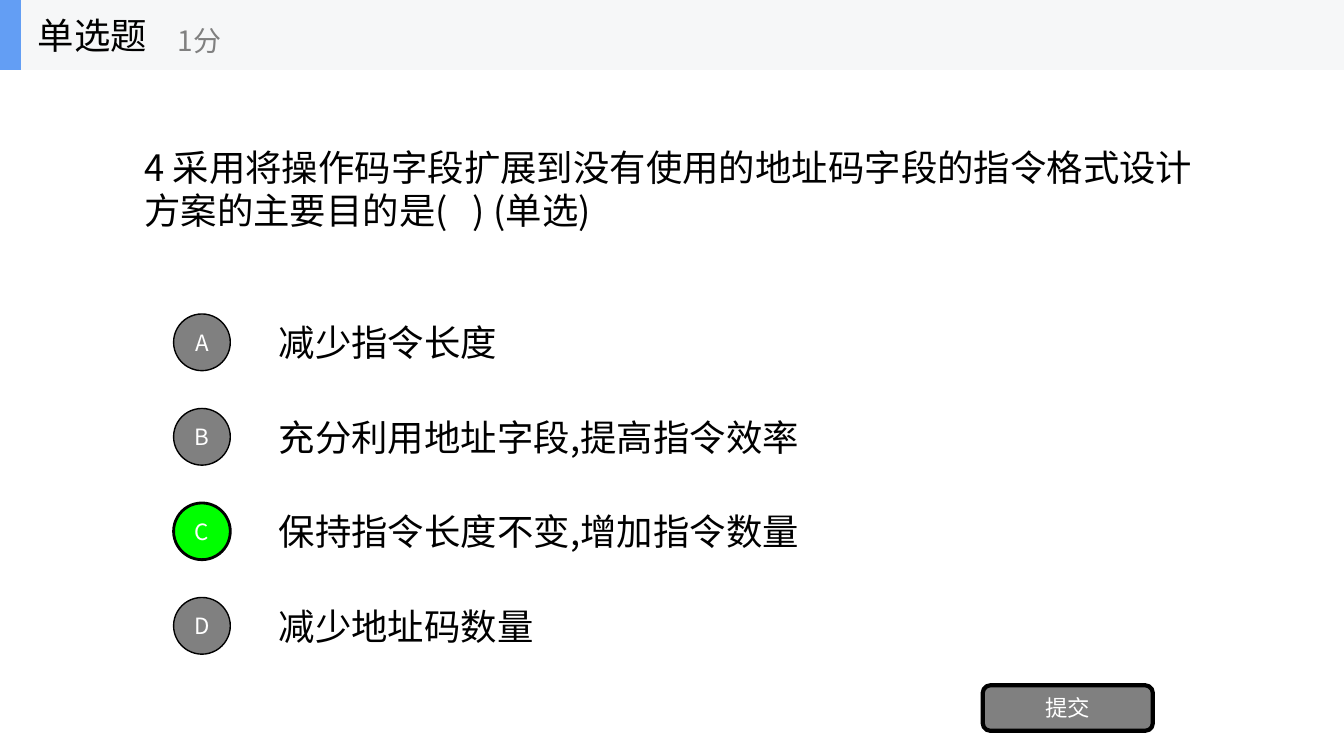
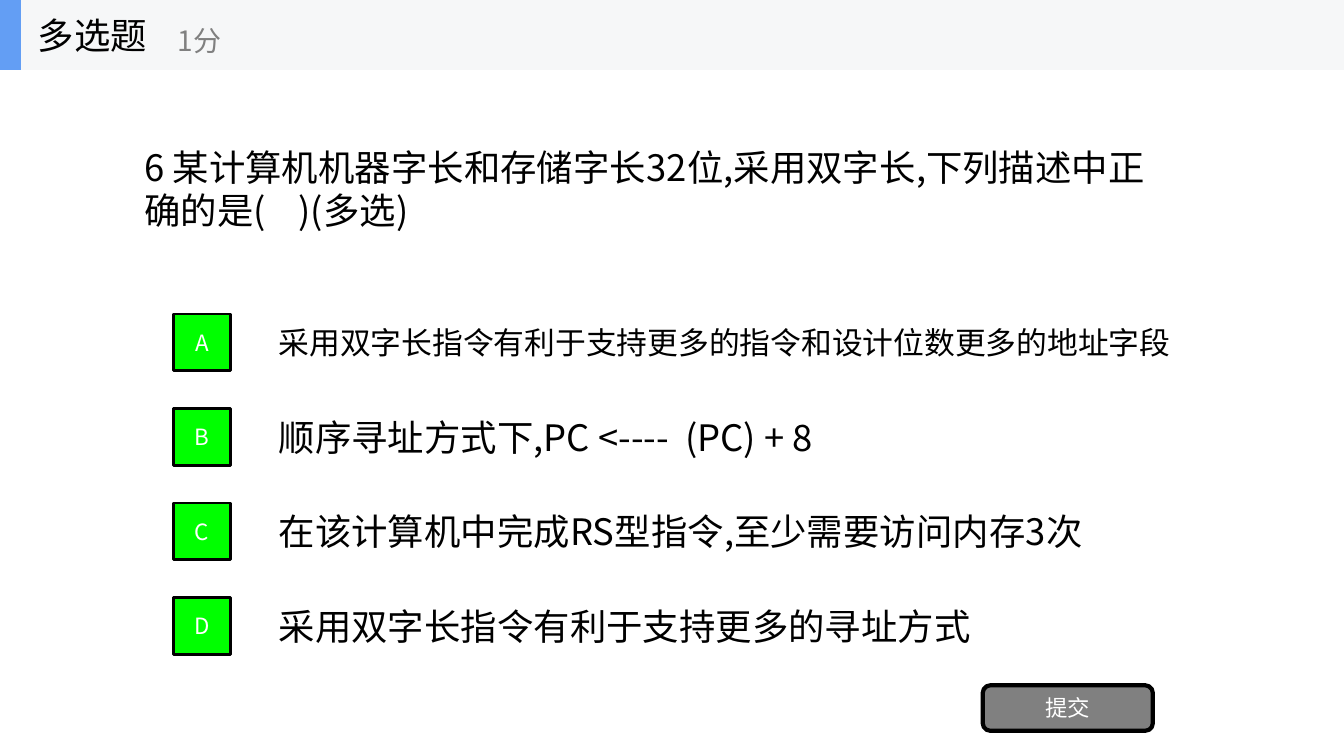
from dataclasses import dataclass

from lxml.etree import SubElement
from pptx import Presentation
from pptx.dml.color import RGBColor
from pptx.enum.shapes import MSO_SHAPE
from pptx.enum.text import MSO_ANCHOR, MSO_AUTO_SIZE, PP_ALIGN
from pptx.oxml.ns import qn
from pptx.util import Pt

FONT = "Noto Sans CJK SC"
COLORS = {
    "ink": "000000",
    "white": "FFFFFF",
    "gray": "808080",
    "correct": "00FF00",
    "band": "F6F7F8",
    "accent": "639EF4",
}
SLIDE_WIDTH, SLIDE_HEIGHT = 960, 540
HEADER_HEIGHT = 50
MARKER_LEFT, MARKER_SIZE = 124, 40.5
OPTION_LEFT, OPTION_HEIGHT = 192, 38
FIRST_OPTION_CENTER, OPTION_PITCH = 244.5, 67.5


@dataclass(frozen=True)
class Box:
    left: float
    top: float
    width: float
    height: float

    def lengths(self):
        return Pt(self.left), Pt(self.top), Pt(self.width), Pt(self.height)


@dataclass(frozen=True)
class Option:
    text: str
    width: float
    correct: bool = False
    size: float = 26


@dataclass(frozen=True)
class Question:
    kind: str
    text: str
    width: float
    marker: MSO_SHAPE
    options: tuple[Option, ...]


QUESTIONS = (
    Question(
        "单选题",
        "4 采用将操作码字段扩展到没有使用的地址码字段的指令格式设计方案的主要目的是(   ) (单选)",
        765.5,
        MSO_SHAPE.OVAL,
        (
            Option("减少指令长度", 178),
            Option("充分利用地址字段,提高指令效率", 392.5),
            Option("保持指令长度不变,增加指令数量", 392.5, correct=True),
            Option("减少地址码数量", 204.5),
        ),
    ),
    Question(
        "多选题",
        "6 某计算机机器字长和存储字长32位,采用双字长,下列描述中正确的是(    )(多选)",
        749,
        MSO_SHAPE.RECTANGLE,
        (
            Option("采用双字长指令有利于支持更多的指令和设计位数更多的地址字段", 659, correct=True, size=22),
            Option("顺序寻址方式下,PC <----  (PC) + 8", 432, correct=True),
            Option("在该计算机中完成RS型指令,至少需要访问内存3次", 595.5, correct=True),
            Option("采用双字长指令有利于支持更多的寻址方式", 516, correct=True),
        ),
    ),
)


def color(name: str) -> RGBColor:
    return RGBColor.from_string(COLORS[name])


def write_text(shape, text: str, *, size: float = 26, ink: str = "ink",
               align=PP_ALIGN.LEFT, grow: bool = False) -> None:
    frame = shape.text_frame
    frame.word_wrap = True
    frame.vertical_anchor = MSO_ANCHOR.MIDDLE
    frame.auto_size = MSO_AUTO_SIZE.SHAPE_TO_FIT_TEXT if grow else MSO_AUTO_SIZE.NONE
    paragraph = frame.paragraphs[0]
    paragraph.alignment = align
    run = paragraph.add_run()
    run.text = text
    run.font.size = Pt(size)
    run.font.name = FONT
    run.font.color.rgb = color(ink)
    SubElement(run.font._element, qn("a:ea")).set("typeface", FONT)


def add_label(shapes, box: Box, text: str, **text_format) -> None:
    write_text(shapes.add_textbox(*box.lengths()), text, **text_format)


def add_block(shapes, kind: MSO_SHAPE, box: Box, fill: str, line_width: float = 0, text: str = "") -> None:
    shape = shapes.add_shape(kind, *box.lengths())
    shape.shadow.inherit = False
    shape.fill.solid()
    shape.fill.fore_color.rgb = color(fill)
    if line_width:
        shape.line.color.rgb = color("ink")
        shape.line.width = Pt(line_width)
    else:
        shape.line.fill.background()
    if text:
        write_text(shape, text, size=16, ink="white", align=PP_ALIGN.CENTER)


def add_header(slide, title: str) -> None:
    shapes = slide.shapes.add_group_shape().shapes
    add_block(shapes, MSO_SHAPE.RECTANGLE, Box(0, 0, SLIDE_WIDTH, HEADER_HEIGHT), "band")
    add_block(shapes, MSO_SHAPE.RECTANGLE, Box(0, 0, 15, HEADER_HEIGHT), "accent")
    add_label(shapes, Box(20, 0, 150, HEADER_HEIGHT), title)
    add_label(shapes, Box(120, 8.5, 180, 40.5), "1分", size=20, ink="gray")


def add_option(slide, marker: MSO_SHAPE, index: int, option: Option) -> None:
    center = FIRST_OPTION_CENTER + index * OPTION_PITCH
    text_box = Box(OPTION_LEFT, center - OPTION_HEIGHT / 2, option.width, OPTION_HEIGHT)
    marker_box = Box(MARKER_LEFT, center - MARKER_SIZE / 2, MARKER_SIZE, MARKER_SIZE)
    fill, line_width = ("correct", 2) if option.correct else ("gray", 1)
    add_label(slide.shapes, text_box, option.text, size=option.size, grow=True)
    add_block(slide.shapes, marker, marker_box, fill, line_width, "ABCD"[index])


def add_question(presentation, question: Question) -> None:
    slide = presentation.slides.add_slide(presentation.slide_layouts[6])
    add_label(slide.shapes, Box(96, 99.5, question.width, 70), question.text, grow=True)
    for index, option in enumerate(question.options):
        add_option(slide, question.marker, index, option)
    add_block(slide.shapes, MSO_SHAPE.ROUNDED_RECTANGLE, Box(702, 489.5, 121.5, 32.5), "gray", 3, "提交")
    add_header(slide, question.kind)


def main() -> None:
    presentation = Presentation()
    presentation.slide_width = Pt(SLIDE_WIDTH)
    presentation.slide_height = Pt(SLIDE_HEIGHT)
    for question in QUESTIONS:
        add_question(presentation, question)
    presentation.save("out.pptx")


if __name__ == "__main__":
    main()
